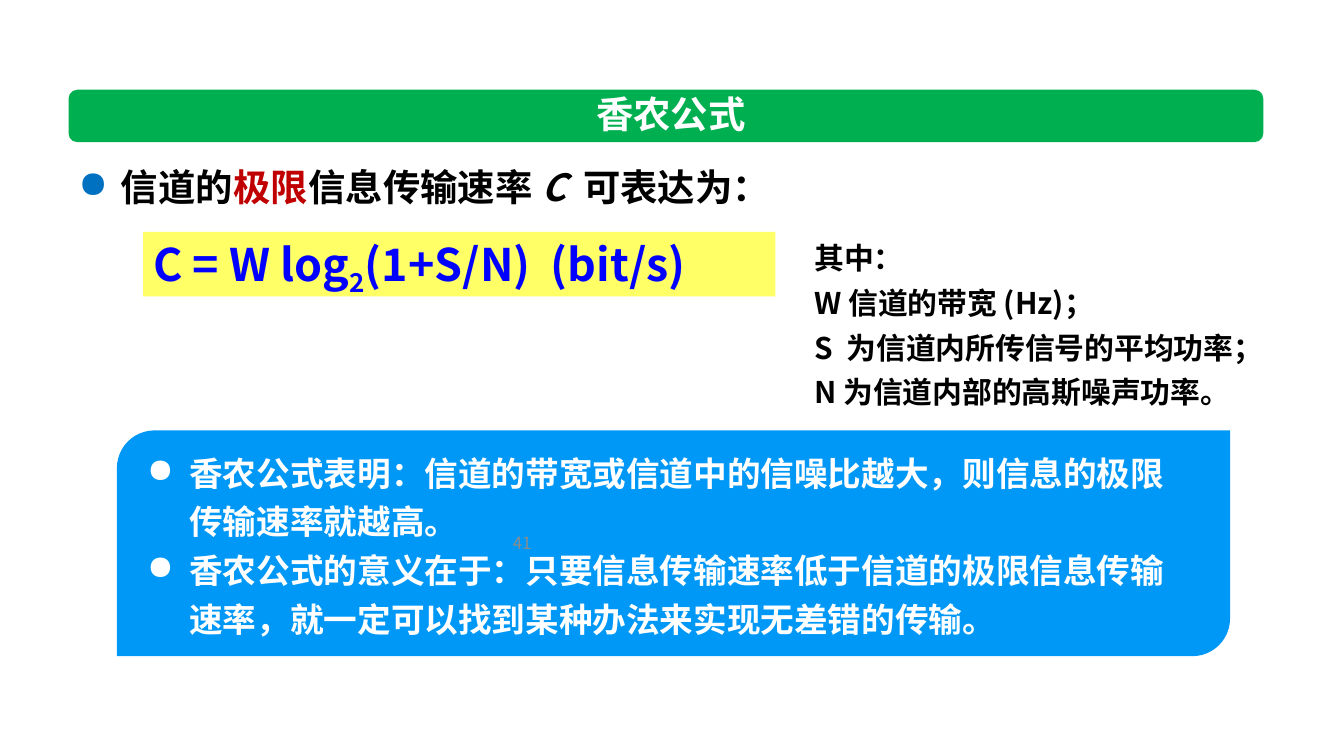
from dataclasses import dataclass
from typing import Optional

from lxml import etree
from pptx import Presentation
from pptx.dml.color import RGBColor
from pptx.enum.shapes import MSO_SHAPE
from pptx.enum.text import MSO_ANCHOR, PP_ALIGN
from pptx.oxml.ns import qn
from pptx.util import Inches, Pt

ROUNDED, RECT, DIAGONAL = (MSO_SHAPE.ROUNDED_RECTANGLE, MSO_SHAPE.RECTANGLE,
                           MSO_SHAPE.ROUND_2_DIAG_RECTANGLE)
TOP, MIDDLE = MSO_ANCHOR.TOP, MSO_ANCHOR.MIDDLE
LEFT, CENTER, RIGHT = PP_ALIGN.LEFT, PP_ALIGN.CENTER, PP_ALIGN.RIGHT


@dataclass(frozen=True)
class Theme:
    font: str = "Noto Sans CJK SC"
    green: str = "00B050"
    blue: str = "0098F6"
    yellow: str = "FFFF66"
    bullet: str = "0070C0"
    formula: str = "0000FF"
    red: str = "C00000"
    black: str = "000000"
    white: str = "FFFFFF"
    gray: str = "8C8C8C"
    heading_pt: float = 26.7
    formula_pt: float = 32
    note_pt: float = 21.3
    summary_pt: float = 24
    number_pt: float = 12


@dataclass(frozen=True)
class Box:
    left: float
    top: float
    width: float
    height: float

    def emu(self) -> tuple:
        return tuple(Inches(v) for v in (self.left, self.top, self.width, self.height))


@dataclass(frozen=True)
class Span:
    """A stretch of text; tracking is extra letter spacing in points."""
    text: str
    color: Optional[str] = None
    italic: bool = False
    baseline: int = 0
    tracking: float = 0


THEME = Theme()


def add_bullet(p, color: str) -> None:
    pPr = p._p.get_or_add_pPr()
    indent = Inches(0.42)
    pPr.set("marL", str(indent))
    pPr.set("indent", str(-indent))
    bu_clr = etree.SubElement(pPr, qn("a:buClr"))
    etree.SubElement(bu_clr, qn("a:srgbClr"), val=color)
    etree.SubElement(pPr, qn("a:buChar"), char="●")


def write(shape, paragraphs: list, *, size: float, color: str, bold: bool = True,
          align=LEFT, anchor=TOP, spacing=None, bullet: Optional[str] = None) -> None:
    """Fill a shape with paragraphs, each a list of spans."""
    tf = shape.text_frame
    tf.word_wrap = True
    tf.vertical_anchor = anchor
    for i, spans in enumerate(paragraphs):
        p = tf.add_paragraph() if i else tf.paragraphs[0]
        if bullet:
            add_bullet(p, bullet)
        p.alignment = align
        p.line_spacing = spacing
        p.space_before = Pt(0)
        for span in spans:
            r = p.add_run()
            r.text = span.text
            font = r.font
            font.size, font.bold, font.italic = Pt(size), bold, span.italic
            font.color.rgb = RGBColor.from_string(span.color or color)
            font.name = THEME.font
            rPr = r._r.get_or_add_rPr()
            etree.SubElement(rPr, qn("a:ea"), typeface=THEME.font)
            if span.baseline:
                rPr.set("baseline", str(span.baseline * 1000))
            if span.tracking:
                rPr.set("spc", str(round(span.tracking * 100)))


def add_panel(slide, kind, box: Box, fill: str):
    s = slide.shapes.add_shape(kind, *box.emu())
    s.shadow.inherit = False
    s.fill.solid()
    s.fill.fore_color.rgb = RGBColor.from_string(fill)
    s.line.fill.background()
    return s


def add_text(slide, box: Box, paragraphs: list, **style) -> None:
    write(slide.shapes.add_textbox(*box.emu()), paragraphs, **style)


def add_title(slide, text: str) -> None:
    title = slide.shapes.title
    bar = add_panel(slide, ROUNDED, Box(0.68, 0.89, 11.85, 0.52), THEME.green)
    title._element.addprevious(bar._element)
    title.left, title.top, title.width, title.height = Box(1.82, 0.89, 9.67, 0.52).emu()
    write(title, [[Span(text)]], size=THEME.heading_pt, color=THEME.white,
          align=CENTER, anchor=MIDDLE, spacing=0.9)


def main() -> None:
    prs = Presentation()
    prs.slide_width, prs.slide_height = Inches(13.33), Inches(7.5)
    slide = prs.slides.add_slide(prs.slide_layouts[5])

    add_title(slide, "香农公式")
    add_text(slide, Box(0.68, 1.41, 11.85, 0.8),
             [[Span("信道的"), Span("极限", color=THEME.red), Span("信息传输速率 "),
               Span("C", italic=True), Span(" ", tracking=6), Span("可表达为：")]],
             size=THEME.heading_pt, color=THEME.black, spacing=Pt(44), bullet=THEME.bullet)

    formula = add_panel(slide, RECT, Box(1.42, 2.3, 6.27, 0.64), THEME.yellow)
    write(formula,
          [[Span("C = W log"), Span("2", baseline=-25), Span("(1+S/N)"),
            Span(" ", tracking=7), Span("(bit/s)")]],
          size=THEME.formula_pt, color=THEME.formula)

    add_text(slide, Box(7.98, 2.24, 5.29, 1.86),
             [[Span("其中：")],
              [Span("W 信道的带宽 (Hz)；")],
              [Span("S"), Span(" ", tracking=5), Span("为信道内所传信号的平均功率；")],
              [Span("N 为信道内部的高斯噪声功率。")]],
             size=THEME.note_pt, color=THEME.black, spacing=Pt(32))

    add_panel(slide, DIAGONAL, Box(1.16, 4.27, 11.04, 2.24), THEME.blue)
    add_text(slide, Box(1.36, 4.36, 10.58, 2.02),
             [[Span("香农公式表明：信道的带宽或信道中的信噪比越大，则信息的极限传输速率就越高。")],
              [Span("香农公式的意义在于：只要信息传输速率低于信道的极限信息传输速率，"
                    "就一定可以找到某种办法来实现无差错的传输。")]],
             size=THEME.summary_pt, color=THEME.white, spacing=Pt(34.7), bullet=THEME.white)

    add_text(slide, Box(3.12, 5.24, 2.25, 0.3), [[Span("41")]], size=THEME.number_pt,
             color=THEME.gray, bold=False, align=RIGHT, anchor=MIDDLE)

    prs.save("out.pptx")


if __name__ == "__main__":
    main()
